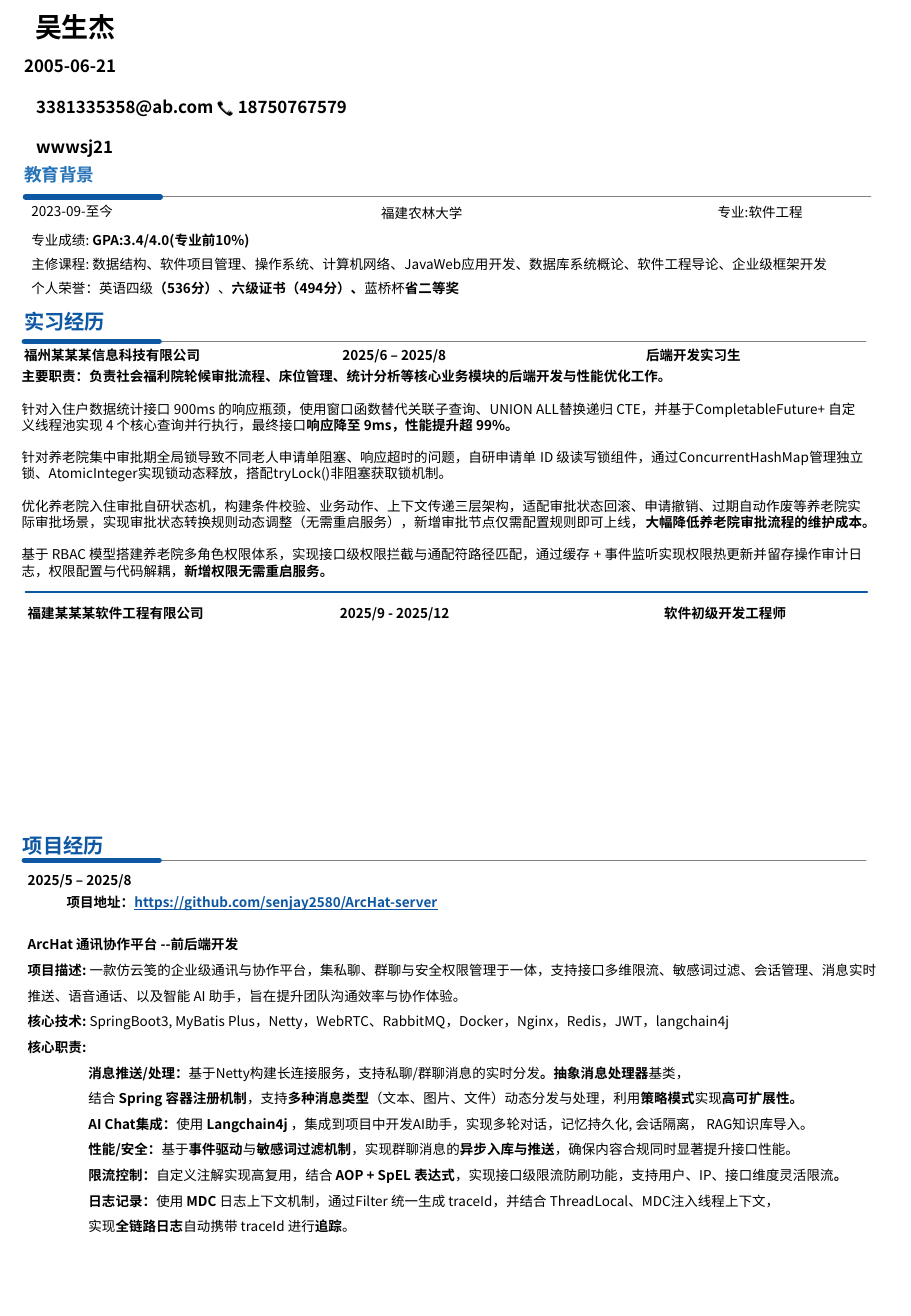
from dataclasses import dataclass

from lxml import etree
from pptx import Presentation
from pptx.dml.color import RGBColor
from pptx.enum.shapes import MSO_CONNECTOR
from pptx.oxml.ns import qn
from pptx.util import Inches, Pt

STRAIGHT = MSO_CONNECTOR.STRAIGHT


@dataclass(frozen=True)
class Theme:
    ink: RGBColor = RGBColor(0x00, 0x00, 0x00)
    accent: RGBColor = RGBColor(0x0E, 0x58, 0xA3)
    sky: RGBColor = RGBColor(0x26, 0x73, 0xB7)
    hairline: RGBColor = RGBColor(0x80, 0x80, 0x80)
    body_font: str = "Noto Sans CJK SC"
    head_font: str = "Noto Sans CJK JP"
    name: float = 16
    section: float = 12
    section_small: float = 10.5
    contact: float = 10
    body: float = 8
    leading: float = 1.2


class Resume:
    def __init__(self, page, theme):
        self.page = page
        self.theme = theme

    def box(self, left, top, width, height):
        frame = self.page.shapes.add_textbox(
            Inches(left), Inches(top), Inches(width), Inches(height)).text_frame
        frame.word_wrap = True
        return frame

    def span(self, para, text, size, bold=False, color=None, font=None):
        span = para.add_run()
        span.text = text
        style = span.font
        style.size = Pt(size)
        style.bold = bold
        style.name = font or self.theme.body_font
        style.color.rgb = color or self.theme.ink
        east_asian = etree.SubElement(span._r.get_or_add_rPr(), qn("a:ea"))
        east_asian.set("typeface", style.name)
        return span

    def para(self, frame, text, size=None, pitch=None, before=0, indent=0,
             tabs=(), color=None, font=None):
        """Add a paragraph; text between asterisks is bold."""
        size = size or self.theme.body
        para = frame.paragraphs[0]
        if para.runs:
            para = frame.add_paragraph()
        para.line_spacing = Pt(pitch or size * self.theme.leading)
        para.space_before = Pt(before)
        properties = para._p.get_or_add_pPr()
        if indent:
            properties.set("marL", str(Inches(indent)))
            properties.set("indent", "0")
        if tabs:
            tab_list = etree.SubElement(properties, qn("a:tabLst"))
            for stop in tabs:
                etree.SubElement(tab_list, qn("a:tab"),
                                 pos=str(Inches(stop)), algn="l")
        for index, part in enumerate(text.split("*")):
            if part:
                self.span(para, part, size, index % 2 == 1, color, font)
        return para

    def label(self, left, top, width, height, text, **style):
        self.para(self.box(left, top, width, height), text, **style)

    def rule(self, start, end, y, color, weight):
        line = self.page.shapes.add_connector(
            STRAIGHT, Inches(start), Inches(y), Inches(end), Inches(y))
        line.line.color.rgb = color
        line.line.width = Pt(weight)
        properties = line._element.spPr
        properties.find(qn("a:ln")).set("cap", "rnd")
        etree.SubElement(properties, qn("a:effectLst"))

    def section(self, title, left, top, rule_y, rule_left, rule_right,
                size, color):
        theme = self.theme
        self.label(left, top, 1.27, 0.3, f"*{title}*", size=size,
                   color=color, font=theme.head_font)
        self.rule(rule_left + 0.02, rule_right, rule_y, theme.hairline, 0.5)
        self.rule(rule_left, rule_left + 1.11, rule_y, theme.accent, 3.25)

    def job(self, left, top, width, cells, tabs, pitch=None):
        """Write company, dates and role on one line with tab stops."""
        self.label(left, top, width, 0.29, "*" + "\t".join(cells) + "*",
                   tabs=tabs, pitch=pitch, font=self.theme.head_font)


EDUCATION = [
    "专业成绩: *GPA:3.4/4.0(专业前10%)*",
    "主修课程: 数据结构、软件项目管理、操作系统、计算机网络、JavaWeb应用开发、"
    "数据库系统概论、软件工程导论、企业级框架开发",
    "个人荣誉：英语四级*（536分）*、*六级证书（494分）、*蓝桥杯*省二等奖*",
]
# Each entry is one duty; a duty may hold several paragraphs.
DUTIES = [
    ["*主要职责：负责社会福利院轮候审批流程、床位管理、统计分析等核心业务模块的后端开发与性能优化工作。*"],
    ["针对入住户数据统计接口 900ms 的响应瓶颈，使用窗口函数替代关联子查询、UNION ALL替换递归 CTE，"
     "并基于CompletableFuture+ 自定义线程池实现 4 个核心查询并行执行，最终接口"
     "*响应降至 9ms，性能提升超 99%。*"],
    ["针对养老院集中审批期全局锁导致不同老人申请单阻塞、响应超时的问题，自研申请单 ID 级读写锁组件，"
     "通过ConcurrentHashMap管理独立锁、AtomicInteger实现锁动态释放，搭配tryLock()非阻塞获取锁机制。"],
    ["优化养老院入住审批自研状态机，构建条件校验、业务动作、上下文传递三层架构，"
     "适配审批状态回滚、申请撤销、过期自动作废等养老院实",
     "际审批场景，实现审批状态转换规则动态调整（无需重启服务），新增审批节点仅需配置规则即可上线，"
     "*大幅降低养老院审批流程的维护成本。*"],
    ["基于 RBAC 模型搭建养老院多角色权限体系，实现接口级权限拦截与通配符路径匹配，"
     "通过缓存 + 事件监听实现权限热更新并留存操作审计日志，权限配置与代码解耦，*新增权限无需重启服务。*"],
]
PROJECT = [
    "*项目描述: *一款仿云笺的企业级通讯与协作平台，集私聊、群聊与安全权限管理于一体，"
    "支持接口多维限流、敏感词过滤、会话管理、消息实时推送、语音通话、以及智能 AI 助手，"
    "旨在提升团队沟通效率与协作体验。",
    "*核心技术: *SpringBoot3, MyBatis Plus，Netty，WebRTC、RabbitMQ，Docker，Nginx，"
    "Redis，JWT，langchain4j",
    "*核心职责:*",
]
PROJECT_DUTIES = [
    "*消息推送/处理：*基于Netty构建长连接服务，支持私聊/群聊消息的实时分发*。抽象消息处理器*基类，",
    "结合 *Spring 容器注册机制*，支持*多种消息类型*（文本、图片、文件）动态分发与处理，"
    "利用*策略模式*实现*高可扩展性。*",
    "*AI Chat集成：*使用 *Langchain4j *，集成到项目中开发AI助手，实现多轮对话，"
    "记忆持久化, 会话隔离， RAG知识库导入。",
    "*性能/安全：*基于*事件驱动*与*敏感词过滤机制*，实现群聊消息的*异步入库与推送*，"
    "确保内容合规同时显著提升接口性能。",
    "*限流控制：*自定义注解实现高复用，结合 *AOP + SpEL 表达式*，实现接口级限流防刷功能，"
    "支持用户、IP、接口维度灵活限流*。*",
    "*日志记录：*使用 *MDC *日志上下文机制，通过Filter 统一生成 traceId，"
    "并结合 ThreadLocal、MDC注入线程上下文，",
    "实现*全链路日志*自动携带 traceId 进行*追踪*。",
]


def main():
    deck = Presentation()
    deck.slide_width, deck.slide_height = Inches(7.5), Inches(10.83)
    theme = Theme()
    resume = Resume(deck.slides.add_slide(deck.slide_layouts[6]), theme)

    resume.label(0.09, 0.04, 1.27, 0.37, "*吴生杰*", size=theme.name, indent=0.1)
    contact = resume.box(0.05, 0.41, 3.89, 0.7)
    resume.para(contact, "*2005-06-21*", size=theme.contact, indent=0.05)
    for text in ("*3381335358@ab.com 📞 18750767579*", "*wwwsj21*"):
        resume.para(contact, text, size=theme.contact, indent=0.15, before=12)

    resume.section("教育背景", 0.1, 1.3, 1.62, 0.21, 7.17,
                   theme.section_small, theme.sky)
    for left, top, text in ((0.16, 1.62, "2023-09-至今"),
                            (3.04, 1.64, "福建农林大学"),
                            (5.81, 1.63, "专业:软件工程")):
        resume.label(left, top, 1.44, 0.23, text)
    education = resume.box(0.16, 1.79, 7.08, 0.71)
    for text in EDUCATION:
        resume.para(education, text, pitch=14.4)

    resume.section("实习经历", 0.1, 2.5, 2.81, 0.2, 7.13,
                   theme.section, theme.accent)
    resume.job(0.1, 2.74, 6.89,
               ("福州某某某信息科技有限公司", "2025/6 – 2025/8", "后端开发实习生"),
               (2.62, 5.12), pitch=14.4)
    duties = resume.box(0.08, 2.98, 7.16, 1.9)
    for number, duty in enumerate(DUTIES):
        for line, text in enumerate(duty):
            resume.para(duties, text, before=9.6 if number and not line else 0)
    resume.rule(0.21, 7.14, 4.87, theme.accent, 1)
    resume.job(0.13, 4.93, 6.95,
               ("福建某某某软件工程有限公司", "2025/9 - 2025/12", "软件初级开发工程师"),
               (2.57, 5.24))

    resume.section("项目经历", 0.09, 6.81, 7.08, 0.2, 7.13,
                   theme.section, theme.accent)
    project = resume.box(0.13, 6.99, 7.25, 3.2)
    resume.para(project, "*2025/5 – 2025/8*", pitch=19.2, font=theme.head_font)
    resume.para(project, "*ArcHat 通讯协作平台 --前后端开发*", pitch=19.2, before=19.2)
    for text in PROJECT:
        resume.para(project, text, pitch=15.2)
    for text in PROJECT_DUTIES:
        resume.para(project, text, pitch=15.2, indent=0.5)

    address = resume.para(resume.box(0.45, 7.31, 3.99, 0.22), "*项目地址：*")
    link = resume.span(address, "https://github.com/senjay2580/ArcHat-server",
                       theme.body, True, theme.accent)
    link.font.underline = True

    deck.save("out.pptx")


if __name__ == "__main__":
    main()
